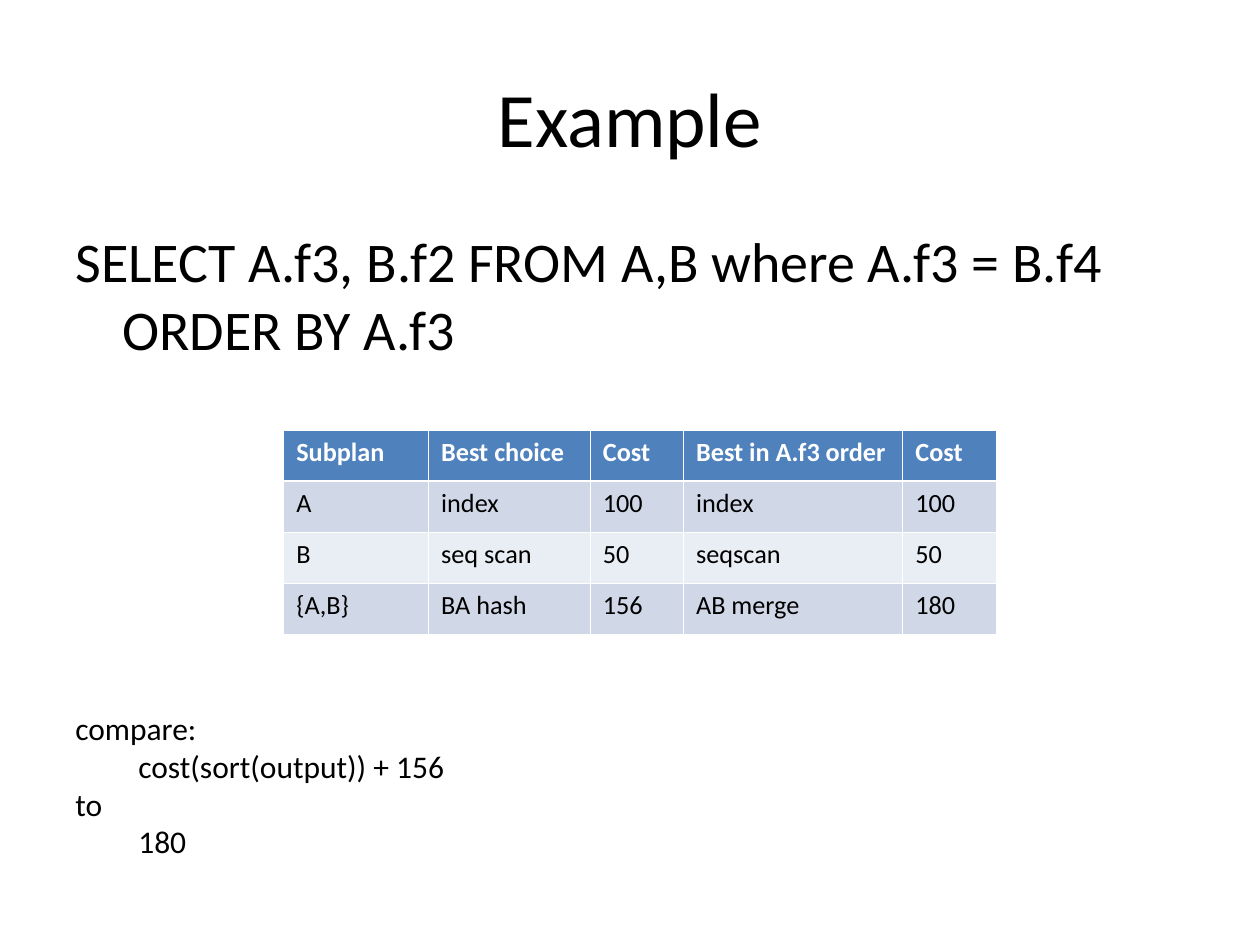
from lxml.etree import SubElement
from pptx import Presentation
from pptx.dml.color import RGBColor
from pptx.enum.text import MSO_ANCHOR, PP_ALIGN
from pptx.oxml.ns import qn
from pptx.util import Cm, Pt

BLACK = RGBColor(0x00, 0x00, 0x00)
WHITE = RGBColor(0xFF, 0xFF, 0xFF)
HEADER = RGBColor(0x4F, 0x81, 0xBD)
BANDS = [RGBColor(0xE9, 0xED, 0xF4), RGBColor(0xD0, 0xD8, 0xE8)]
FONT = "Calibri"
THIN, THICK = Pt(0.45), Pt(1.47)
INDENT = Cm(1.27)

PLANS = [
    ["Subplan", "Best choice", "Cost", "Best in A.f3 order", "Cost"],
    ["A", "index", "100", "index", "100"],
    ["B", "seq scan", "50", "seqscan", "50"],
    ["{A,B}", "BA hash", "156", "AB merge", "180"],
]
COL_WIDTHS = [2.92, 3.26, 1.88, 4.42, 1.88]
COMPARISON = [
    ("compare:", 0),
    ("cost(sort(output)) + 156", 1),
    ("to", 0),
    ("180", 1),
]


def set_font(p, size, color=BLACK, bold=False):
    p.font.name = FONT
    p.font.size = Pt(size)
    p.font.color.rgb = color
    p.font.bold = bold


def add_text_frame(s, box):
    tf = s.shapes.add_textbox(*box).text_frame
    tf.word_wrap = True
    return tf


def add_title(s, box, text):
    tf = add_text_frame(s, box)
    tf.vertical_anchor = MSO_ANCHOR.MIDDLE
    p = tf.paragraphs[0]
    p.text = text
    p.alignment = PP_ALIGN.CENTER
    set_font(p, 44)


def add_query(s, box, text):
    p = add_text_frame(s, box).paragraphs[0]
    p.text = text
    p.space_before = Pt(8)
    pPr = p._p.get_or_add_pPr()
    pPr.set("marL", str(Cm(0.95)))
    pPr.set("indent", str(-Cm(0.95)))
    set_font(p, 32)


def set_borders(cell, widths):
    tcPr = cell._tc.get_or_add_tcPr()
    for i, (side, width) in enumerate(widths.items()):
        ln = SubElement(tcPr, qn(f"a:ln{side}"), w=str(width))
        fill = SubElement(ln, qn("a:solidFill"))
        SubElement(fill, qn("a:srgbClr"), val=str(WHITE))
        tcPr.remove(ln)
        tcPr.insert(i, ln)


def add_plan_table(s, box, rows, col_widths):
    table = s.shapes.add_table(len(rows), len(col_widths), *box).table
    for column, width in zip(table.columns, col_widths):
        column.width = Cm(width)
    for i, row in enumerate(rows):
        is_header = i == 0
        for j, text in enumerate(row):
            cell = table.cell(i, j)
            cell.text = text
            cell.fill.solid()
            cell.fill.fore_color.rgb = HEADER if is_header else BANDS[i % 2]
            set_font(cell.text_frame.paragraphs[0], 15,
                     WHITE if is_header else BLACK, is_header)
            set_borders(cell, {
                "L": THIN,
                "R": THIN,
                "T": THICK if i == 1 else THIN,
                "B": THICK if is_header else THIN,
            })


def add_comparison(s, box, lines):
    tf = add_text_frame(s, box)
    for i, (text, level) in enumerate(lines):
        p = tf.add_paragraph() if i else tf.paragraphs[0]
        p.text = text
        p._p.get_or_add_pPr().set("marL", str(level * INDENT))
        set_font(p, 18)


def main():
    prs = Presentation()
    prs.slide_width, prs.slide_height = Cm(25.4), Cm(19.05)
    s = prs.slides.add_slide(prs.slide_layouts[6])
    left, width = Cm(1.27), Cm(22.86)
    add_title(s, (left, Cm(0.76), width, Cm(3.18)), "Example")
    add_query(s, (left, Cm(4.45), width, Cm(12.57)),
              "SELECT A.f3, B.f2 FROM A,B where A.f3 = B.f4 ORDER BY A.f3")
    add_plan_table(s, (Cm(5.72), Cm(8.67), Cm(14.36), Cm(4.11)),
                   PLANS, COL_WIDTHS)
    add_comparison(s, (left, Cm(14.17), Cm(13.03), Cm(3.3)), COMPARISON)
    prs.save("out.pptx")


if __name__ == "__main__":
    main()
